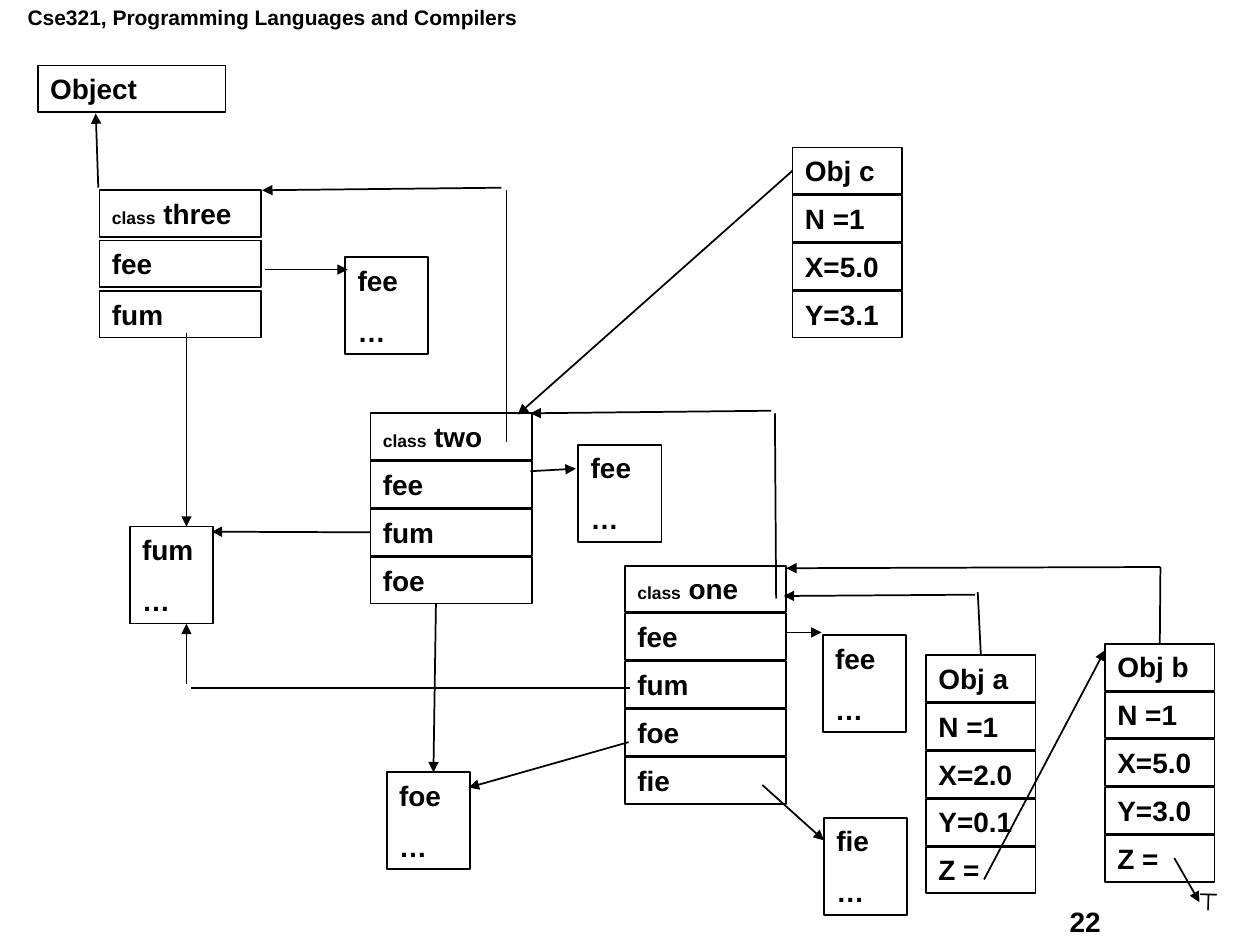
"""Build a slide of object records, class records and their method code."""
from typing import NamedTuple, Optional

from lxml.etree import SubElement
from pptx import Presentation
from pptx.dml.color import RGBColor
from pptx.enum.shapes import MSO_CONNECTOR as Connector, MSO_SHAPE as Preset
from pptx.enum.text import MSO_ANCHOR as Anchor, PP_ALIGN as Align
from pptx.oxml.ns import qn
from pptx.util import Inches, Pt

BLACK = RGBColor(0, 0, 0)
ROW_HEIGHT = 0.37
TOP, LEFT = 0, 1


class Record(NamedTuple):
    left: float
    top: float
    width: float
    labels: tuple[str, ...]
    pitch: float = 0.38


class Method(NamedTuple):
    name: str
    left: float
    top: float


class Joint(NamedTuple):
    label: str
    row: int
    side: int


class Link(NamedTuple):
    start: tuple[float, float]
    end: tuple[float, float]
    arrow: bool = True
    start_joint: Optional[Joint] = None
    end_joint: Optional[Joint] = None


RECORDS = (
    Record(0.3, 0.52, 1.49, ("Object",)),
    Record(0.79, 1.51, 1.28, ("class three", "fee", "fum"), 0.4),
    Record(2.94, 3.28, 1.28, ("class two", "fee", "fum", "foe")),
    Record(4.96, 4.49, 1.28, ("class one", "fee", "fum", "foe", "fie")),
    Record(6.29, 1.17, 0.87, ("Obj c", "N =1", "X=5.0", "Y=3.1")),
    Record(7.35, 5.2, 0.87, ("Obj a", "N =1", "X=2.0", "Y=0.1", "Z =")),
    Record(8.77, 5.11, 0.87, ("Obj b", "N =1", "X=5.0", "Y=3.0", "Z =")),
)
METHODS = (
    Method("fum", 1.03, 4.18),
    Method("fee", 2.74, 2.04),
    Method("fee", 4.59, 3.53),
    Method("foe", 3.07, 6.13),
    Method("fee", 6.53, 5.04),
    Method("fie", 6.54, 6.49),
)
LINKS = (
    Link((0.78, 1.49), (0.76, 0.9)),
    Link((4.02, 3.51), (4.02, 1.51), False),
    Link((3.98, 1.49), (2.08, 1.51)),
    Link((6.16, 4.75), (6.15, 3.28), False),
    Link((6.12, 3.26), (4.21, 3.28)),
    Link((7.81, 6.98), (8.77, 5.16)),
    Link((9.32, 6.81), (9.52, 7.16)),
    Link((7.74, 4.72), (6.22, 4.73)),
    Link((7.76, 4.7), (7.77, 5.18), False, end_joint=Joint("Obj a", 0, TOP)),
    Link((9.21, 4.5), (6.24, 4.51)),
    Link((9.21, 4.5), (9.21, 5.16), False, end_joint=Joint("Obj b", 0, TOP)),
    Link((6.27, 1.33), (4.11, 3.29), start_joint=Joint("Obj c", 0, LEFT)),
    Link((1.48, 2.64), (1.48, 4.18)),
    Link((2.94, 4.21), (1.68, 4.22), start_joint=Joint("class two", 2, LEFT)),
    Link((2.1, 2.14), (2.76, 2.14)),
    Link((4.21, 3.74), (4.57, 3.72)),
    Link((3.46, 4.79), (3.44, 6.13)),
    Link((4.99, 5.89), (3.72, 6.25)),
    Link((5, 5.46), (1.52, 5.46), False),
    Link((1.48, 5.43), (1.48, 4.95)),
    Link((6.05, 6.23), (6.54, 6.67)),
    Link((6.24, 5.02), (6.52, 5.02)),
)


def style(para, size: float) -> None:
    para.alignment = Align.LEFT
    para.font.name = "Arial"
    para.font.size = Pt(size)
    para.font.bold = True
    para.font.color.rgb = BLACK


def add_text(page, text: str, left: float, top: float, width: float,
             height: float, size: float = 16, wrap: bool = True):
    box = page.shapes.add_textbox(Inches(left), Inches(top), Inches(width), Inches(height))
    box.text_frame.word_wrap = wrap
    para = box.text_frame.paragraphs[0]
    para.text = text
    style(para, size)
    return box


def add_box(page, left: float, top: float, width: float, height: float):
    box = page.shapes.add_shape(
        Preset.RECTANGLE, Inches(left), Inches(top), Inches(width), Inches(height))
    box.shadow.inherit = False
    box.fill.background()
    box.line.color.rgb = BLACK
    box.line.width = Pt(1)
    box.text_frame.word_wrap = True
    box.text_frame.vertical_anchor = Anchor.TOP
    return box


def add_record(page, record: Record) -> list:
    boxes = []
    for row, label in enumerate(record.labels):
        box = add_box(page, record.left, record.top + row * record.pitch,
                      record.width, ROW_HEIGHT)
        para = box.text_frame.paragraphs[0]
        style(para, 16)
        if label.startswith("class "):
            keyword = para.add_run()
            keyword.text = "class"
            keyword.font.size = Pt(10)
            label = label.removeprefix("class")
        para.add_run().text = label
        boxes.append(box)
    return boxes


def add_method(page, method: Method) -> None:
    frame = add_box(page, method.left, method.top, 0.66, 0.77).text_frame
    frame.text = f"{method.name}\n…"
    for para in frame.paragraphs:
        style(para, 16)
    frame.paragraphs[1].space_before = Pt(10)


def add_link(page, link: Link, rows: dict[str, list]) -> None:
    ends = [Inches(value) for value in link.start + link.end]
    line = page.shapes.add_connector(Connector.STRAIGHT, *ends)
    line.line.color.rgb = BLACK
    line.line.width = Pt(1)
    if link.arrow:
        SubElement(line.line._get_or_add_ln(), qn("a:tailEnd"), type="triangle")
    SubElement(line._element.spPr, qn("a:effectLst"))
    for joint, connect in ((link.start_joint, line.begin_connect),
                           (link.end_joint, line.end_connect)):
        if joint:
            connect(rows[joint.label][joint.row], joint.side)


def main() -> None:
    deck = Presentation()
    deck.slide_width, deck.slide_height = Inches(10), Inches(7.5)
    page = deck.slides.add_slide(deck.slide_layouts[6])
    add_text(page, "Cse321, Programming Languages and Compilers",
             0.12, -0.01, 4.09, 0.3, size=12, wrap=False)
    add_text(page, "22", 8.39, 7.13, 1.27, 0.36)
    add_text(page, "⊥", 9.42, 7, 0.38, 0.37).rotation = 181.6
    rows = {record.labels[0]: add_record(page, record) for record in RECORDS}
    for method in METHODS:
        add_method(page, method)
    for link in LINKS:
        add_link(page, link, rows)
    deck.save("out.pptx")


if __name__ == "__main__":
    main()
